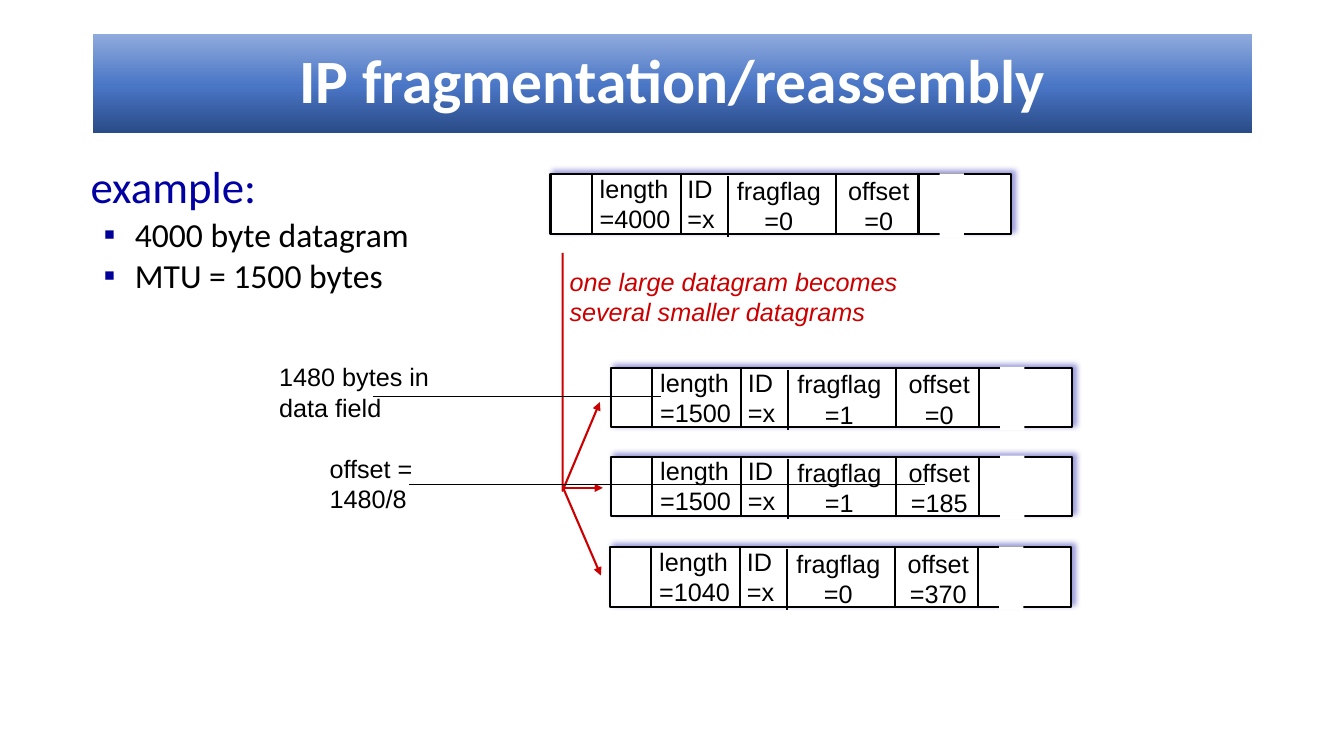
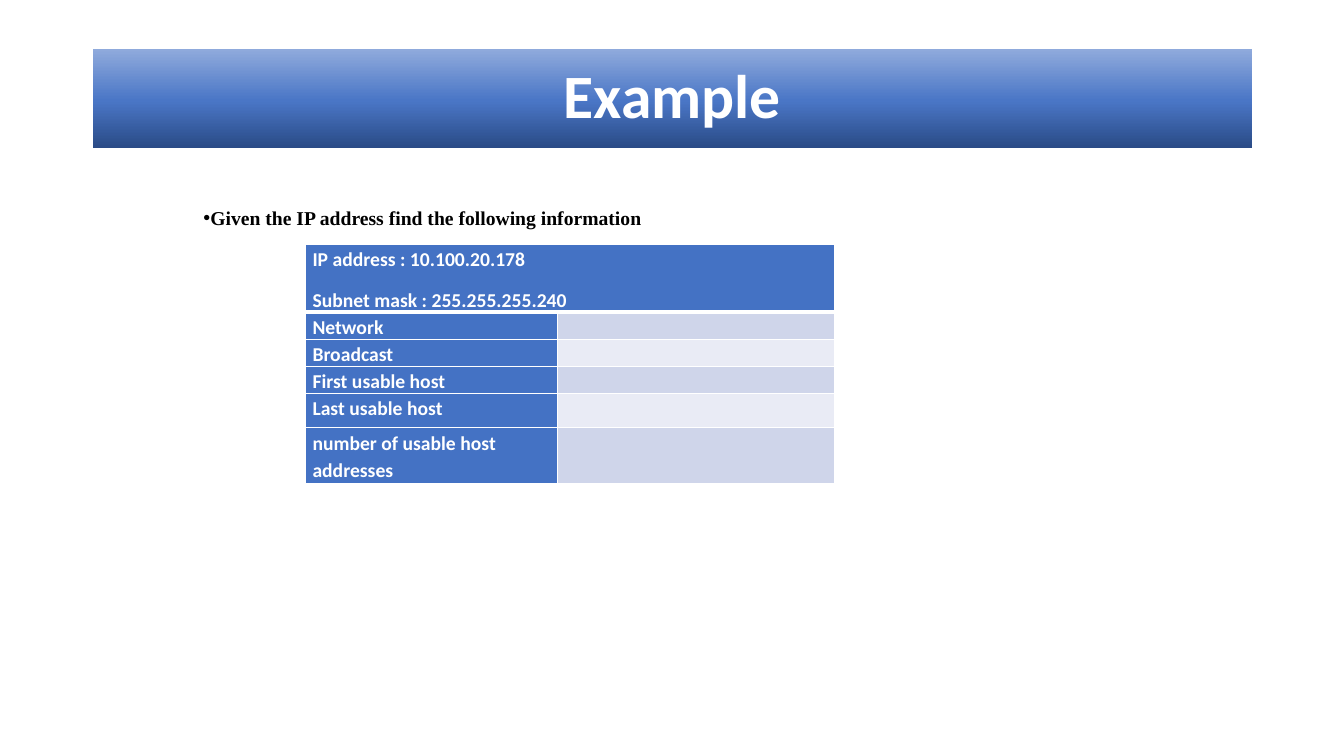
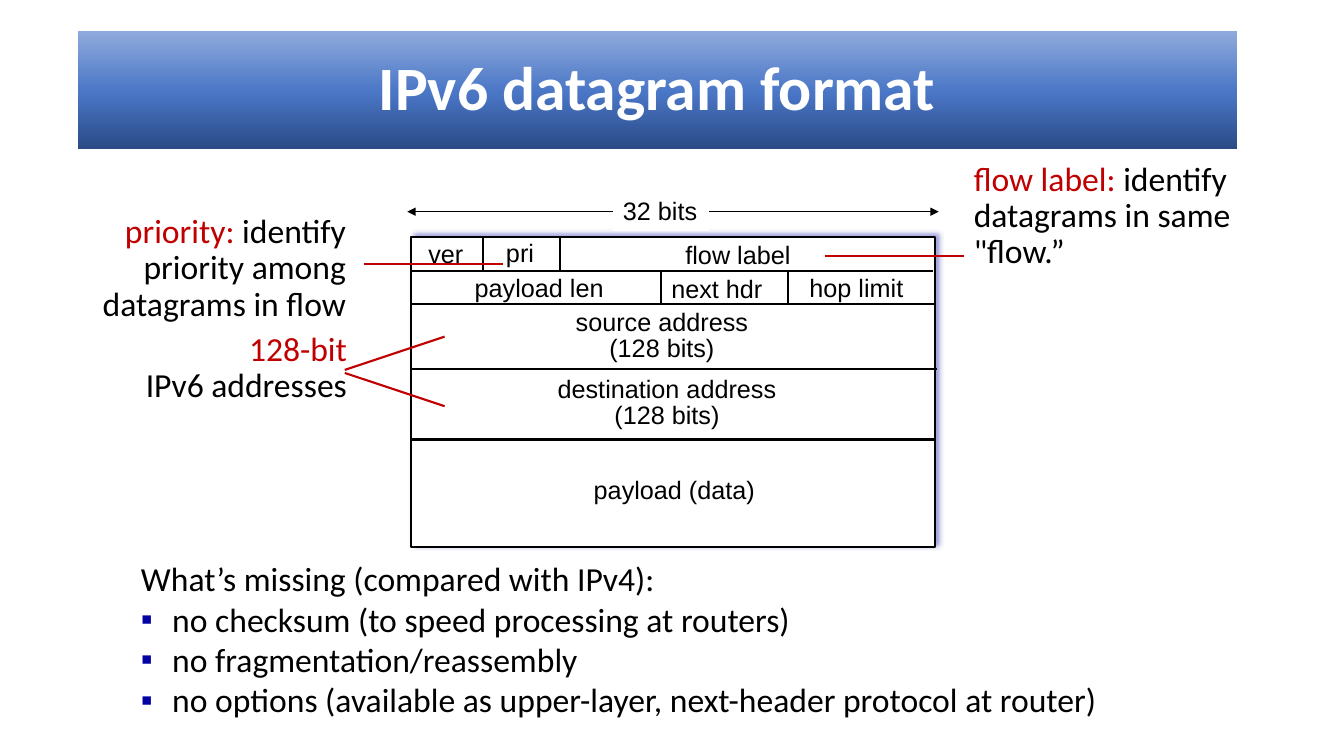
from copy import deepcopy
from dataclasses import dataclass, replace
from typing import Sequence

from lxml import etree
from pptx import Presentation
from pptx import util as u
from pptx.dml.color import RGBColor
from pptx.enum import shapes, text
from pptx.oxml.ns import qn

# One px is a hundredth of an inch
PX = 9144
SLIDE_WIDTH, SLIDE_HEIGHT = 1333, 750

WHITE = RGBColor(0xFF, 0xFF, 0xFF)
BLACK = RGBColor(0x00, 0x00, 0x00)
NAVY = RGBColor(0x00, 0x00, 0xA3)
BULLET_BLUE = RGBColor(0x00, 0x00, 0x99)
RED = RGBColor(0xCC, 0x00, 0x00)
DARK_RED = RGBColor(0xC0, 0x00, 0x00)
TABLE_BLUE = RGBColor(0x44, 0x72, 0xC4)
BAND_DARK = RGBColor(0xCF, 0xD5, 0xEA)
BAND_LIGHT = RGBColor(0xE9, 0xEB, 0xF5)
TITLE_STOPS = (
    (0, RGBColor(0x2A, 0x4B, 0x86)),
    (0.48, RGBColor(0x4A, 0x76, 0xC6)),
    (1, RGBColor(0x8F, 0xAA, 0xDC)),
)

LEFT, CENTER, RIGHT = text.PP_ALIGN.LEFT, text.PP_ALIGN.CENTER, text.PP_ALIGN.RIGHT


@dataclass(frozen=True)
class Style:
    size: int = 18
    font: str = "Arial"
    color: RGBColor = BLACK
    bold: bool = False
    italic: bool = False
    align: text.PP_ALIGN = LEFT
    spacing: float = 1.0
    before: int = 0
    after: int = 0
    bullet: str = ""
    bullet_color: RGBColor = BLACK
    margin: int = 0
    indent: int = 0


@dataclass(frozen=True)
class Box:
    left: int
    top: int
    width: int
    height: int

    def emu(self) -> list[int]:
        return [v * PX for v in (self.left, self.top, self.width, self.height)]


@dataclass(frozen=True)
class Line:
    """A paragraph; lead is an optional opening run in its own colour."""
    text: str
    style: Style
    lead: str = ""
    lead_color: RGBColor = DARK_RED


@dataclass(frozen=True)
class Stroke:
    x1: int
    y1: int
    x2: int
    y2: int
    color: RGBColor = BLACK
    width: float = 1.5
    head: bool = False
    tail: bool = False


@dataclass(frozen=True)
class Datagram:
    left: int
    top: int
    length: int
    fragflag: int
    offset: int


@dataclass(frozen=True)
class Label:
    box: Box
    text: str
    align: text.PP_ALIGN = LEFT
    spacing: float = 1.0


ARIAL = Style()
ARIAL_CENTER = Style(align=CENTER)
BODY = Style(24, "Calibri")
TITLE = Style(44, "Calibri", WHITE, bold=True, align=CENTER, spacing=0.9)
TABLE_TEXT = Style(14, "Calibri", WHITE, bold=True, spacing=1.15)


# Text
def add_bullet(paragraph, style: Style) -> None:
    properties = paragraph._p.get_or_add_pPr()
    properties.set("marL", str(style.margin * PX))
    properties.set("indent", str(style.indent * PX))
    color = etree.SubElement(properties, qn("a:buClr"))
    etree.SubElement(color, qn("a:srgbClr"), val=str(style.bullet_color))
    etree.SubElement(properties, qn("a:buFont"), typeface="Arial")
    etree.SubElement(properties, qn("a:buChar"), char=style.bullet)


def write(frame, lines: Sequence[Line]) -> None:
    for index, line in enumerate(lines):
        style = line.style
        paragraph = frame.paragraphs[0] if index == 0 else frame.add_paragraph()
        if style.bullet:
            add_bullet(paragraph, style)
        paragraph.alignment = style.align
        paragraph.line_spacing = style.spacing
        paragraph.space_before = u.Pt(style.before if index else 0)
        paragraph.space_after = u.Pt(style.after)
        paragraph.text = line.lead or line.text
        if line.lead:
            paragraph.add_run().text = line.text
        for run in paragraph.runs:
            run.font.size = u.Pt(style.size)
            run.font.name = style.font
            run.font.bold = style.bold
            run.font.italic = style.italic
            run.font.color.rgb = style.color
        if line.lead:
            paragraph.runs[0].font.color.rgb = line.lead_color


def rows(content: str, style: Style) -> list[Line]:
    return [Line(part, style) for part in content.split("\n")]


def add_text(slide, box: Box, lines: Sequence[Line], wrap: bool = False) -> None:
    frame = slide.shapes.add_textbox(*box.emu()).text_frame
    frame.word_wrap = wrap
    frame.auto_size = text.MSO_AUTO_SIZE.SHAPE_TO_FIT_TEXT
    write(frame, lines)


# Shapes and lines
def add_rectangle(slide, box: Box, outlined: bool = False):
    shape = slide.shapes.add_shape(shapes.MSO_SHAPE.RECTANGLE, *box.emu())
    shape.shadow.inherit = False
    shape.fill.solid()
    shape.fill.fore_color.rgb = WHITE
    if outlined:
        shape.line.color.rgb = BLACK
        shape.line.width = u.Pt(1.5)
        effects = shape._element.spPr.find(qn("a:effectLst"))
        shadow = etree.SubElement(effects, qn("a:outerShdw"), blurRad=str(u.Pt(4)),
                                  dist=str(u.Pt(3)), dir=str(315 * 60000), algn="bl",
                                  rotWithShape="0")
        color = etree.SubElement(shadow, qn("a:srgbClr"), val=str(NAVY))
        etree.SubElement(color, qn("a:alpha"), val="40000")
    else:
        shape.line.fill.background()
    return shape


def format_line(shape, color: RGBColor, width: float, head: bool, tail: bool) -> None:
    shape.line.color.rgb = color
    shape.line.width = u.Pt(width)
    outline = shape._element.spPr.find(qn("a:ln"))
    for name, shown in (("a:headEnd", head), ("a:tailEnd", tail)):
        if shown:
            etree.SubElement(outline, qn(name), type="triangle")


def add_stroke(slide, stroke: Stroke) -> None:
    connector = slide.shapes.add_connector(
        shapes.MSO_CONNECTOR.STRAIGHT,
        *(v * PX for v in (stroke.x1, stroke.y1, stroke.x2, stroke.y2)))
    format_line(connector, stroke.color, stroke.width, stroke.head, stroke.tail)
    etree.SubElement(connector._element.spPr, qn("a:effectLst"))


def add_title(slide, box: Box, title: str) -> None:
    shape = add_rectangle(slide, box)
    shape.fill.gradient()
    shape.fill.gradient_angle = 90
    stop_list = shape._element.spPr.find(".//" + qn("a:gsLst"))
    stop_list.append(deepcopy(stop_list[0]))
    for stop, (position, color) in zip(shape.fill.gradient_stops, TITLE_STOPS):
        stop.position = position
        stop.color.rgb = color
    frame = shape.text_frame
    frame.word_wrap = True
    frame.vertical_anchor = text.MSO_ANCHOR.MIDDLE
    write(frame, [Line(title, TITLE)])


# Slide 1: fragmentation
def add_datagram(slide, datagram: Datagram) -> None:
    left, top = datagram.left, datagram.top
    add_rectangle(slide, Box(left, top, 457, 59), outlined=True)
    fields = (
        (39, -6, 90, f"length\n={datagram.length}", ARIAL),
        (126, -6, 47, "ID\n=x", ARIAL),
        (165, -4, 123, f"fragflag\n={datagram.fragflag}", ARIAL_CENTER),
        (275, -4, 101, f"offset\n={datagram.offset}", ARIAL_CENTER),
    )
    for x, y, width, content, style in fields:
        add_text(slide, Box(left + x, top + y, width, 70), rows(content, style))
    for x, drop in ((41, 0), (129, 0), (176, 2), (283, 0), (365, 0)):
        add_stroke(slide, Stroke(left + x, top + drop, left + x, top + drop + 60))
    # Break in the data field
    add_rectangle(slide, Box(left + 386, top - 1, 24, 63))


def build_fragmentation(slide) -> None:
    add_title(slide, Box(92, 34, 1150, 98), "IP fragmentation/reassembly")
    for datagram in (
        Datagram(546, 173, 4000, 0, 0),
        Datagram(606, 365, 1500, 1, 0),
        Datagram(606, 453, 1500, 1, 185),
        Datagram(605, 543, 1040, 0, 370),
    ):
        add_datagram(slide, datagram)

    # Split into three arrows
    builder = slide.shapes.build_freeform(558, 251, scale=PX)
    builder.add_line_segments([(558, 487), (595, 399)], close=False)
    split = builder.convert_to_shape()
    split.shadow.inherit = False
    split.fill.background()
    format_line(split, RED, 1.5, head=False, tail=True)
    add_stroke(slide, Stroke(558, 484, 598, 484, RED, tail=True))
    add_stroke(slide, Stroke(559, 485, 596, 571, RED, tail=True))
    add_text(slide, Box(555, 259, 345, 70),
             rows("one large datagram becomes\nseveral smaller datagrams",
                  replace(ARIAL, color=RED, italic=True)))

    # Example and notes
    heading = replace(BODY, size=32, color=NAVY, spacing=0.85)
    item = replace(BODY, spacing=0.85, before=5, bullet="▪", bullet_color=BULLET_BLUE,
                   margin=44, indent=-31)
    add_text(slide, Box(80, 161, 416, 184),
             [Line("example:", heading), *rows("4000 byte datagram\nMTU = 1500 bytes", item)],
             wrap=True)
    add_text(slide, Box(267, 354, 176, 70), rows("1480 bytes in\ndata field", ARIAL))
    add_text(slide, Box(317, 445, 103, 70), rows("offset =\n1480/8", ARIAL))
    add_stroke(slide, Stroke(370, 393, 656, 393, width=0.75))
    add_stroke(slide, Stroke(917, 481, 406, 481, width=0.75))


# Slide 2: subnet exercise
def add_borders(cell, top: int = 1, bottom: int = 1) -> None:
    properties = cell._tc.get_or_add_tcPr()
    for side, width in (("L", 1), ("R", 1), ("T", top), ("B", bottom)):
        border = etree.SubElement(properties, qn(f"a:ln{side}"), w=str(u.Pt(width)))
        fill = etree.SubElement(border, qn("a:solidFill"))
        etree.SubElement(fill, qn("a:srgbClr"), val=str(WHITE))


def fill_cell(cell, color: RGBColor, lines: Sequence[Line]) -> None:
    cell.margin_left = cell.margin_right = 7 * PX
    cell.margin_top = cell.margin_bottom = 0
    cell.fill.solid()
    cell.fill.fore_color.rgb = color
    if lines:
        write(cell.text_frame, lines)
    else:
        paragraph = cell.text_frame.paragraphs[0]
        etree.SubElement(paragraph._p, qn("a:endParaRPr"), sz="1200")


def build_exercise(slide) -> None:
    add_title(slide, Box(92, 49, 1150, 98), "Example")
    question = Style(14, "Times New Roman", bold=True, bullet="•")
    add_text(slide, Box(192, 199, 470, 32),
             [Line("Given the IP address find the following information", question)], wrap=True)

    names = ("Network", "Broadcast", "First usable host", "Last usable host",
             "number of usable host addresses")
    heights = (67, 27, 27, 27, 34, 55)
    widths = (250, 275)
    frame = slide.shapes.add_table(len(heights), len(widths),
                                   *Box(303, 242, sum(widths), sum(heights)).emu())
    table = frame.table
    for column, width in zip(table.columns, widths):
        column.width = width * PX
    for index, (row, height) in enumerate(zip(table.rows, heights)):
        row.height = height * PX
        for cell in row.cells:
            add_borders(cell, top=3 if index == 1 else 1, bottom=3 if index == 0 else 1)

    table.cell(0, 0).merge(table.cell(0, 1))
    fill_cell(table.cell(0, 0), TABLE_BLUE, [
        Line("IP address : 10.100.20.178", replace(TABLE_TEXT, after=10)),
        Line("Subnet mask : 255.255.255.240", TABLE_TEXT),
    ])
    for index, name in enumerate(names, start=1):
        fill_cell(table.cell(index, 0), TABLE_BLUE, [Line(name, TABLE_TEXT)])
        fill_cell(table.cell(index, 1), BAND_DARK if index % 2 else BAND_LIGHT, [])


# Slide 3: IPv6 header
HEADER_LINES = (
    Stroke(408, 269, 925, 269), Stroke(407, 302, 928, 302),
    Stroke(409, 366, 929, 366), Stroke(407, 436, 928, 436),
    Stroke(479, 236, 479, 269), Stroke(555, 236, 555, 268),
    Stroke(656, 269, 656, 301), Stroke(782, 269, 782, 301),
)
HEADER_LABELS = (
    Label(Box(579, 466, 181, 40), "payload (data)"),
    Label(Box(543, 370, 237, 61), "destination address\n(128 bits)", CENTER, 0.85),
    Label(Box(561, 304, 191, 61), "source address\n(128 bits)", CENTER, 0.85),
    Label(Box(461, 265, 148, 40), "payload len"),
    Label(Box(656, 266, 110, 40), "next hdr"),
    Label(Box(793, 265, 113, 40), "hop limit"),
    Label(Box(670, 233, 124, 40), "flow label"),
    Label(Box(492, 231, 48, 40), "pri"),
    Label(Box(415, 232, 55, 40), "ver"),
)


def build_header_format(slide) -> None:
    add_title(slide, Box(77, 31, 1150, 117), "IPv6 datagram format")
    add_rectangle(slide, Box(408, 235, 519, 308), outlined=True)
    for stroke in HEADER_LINES:
        add_stroke(slide, stroke)
    for label in HEADER_LABELS:
        style = replace(ARIAL, align=label.align, spacing=label.spacing)
        add_text(slide, label.box, rows(label.text, style))

    # Width of the header
    add_stroke(slide, Stroke(404, 210, 931, 210, width=0.75, head=True, tail=True))
    width_label = add_rectangle(slide, Box(608, 189, 95, 40))
    width_label.text_frame.word_wrap = False
    width_label.text_frame.vertical_anchor = text.MSO_ANCHOR.TOP
    write(width_label.text_frame, [Line("32 bits", ARIAL)])

    # Callouts
    note = replace(BODY, spacing=0.9)
    right_note = replace(note, align=RIGHT)
    callouts = (
        (Box(40, 208, 313, 119),
         [Line("identify priority among datagrams in flow", right_note, "priority: ")]),
        (Box(956, 156, 354, 119),
         [Line("identify datagrams in same \"flow.”", note, "flow label: ")]),
        (Box(0, 325, 354, 83),
         [Line("128-bit", replace(right_note, color=DARK_RED)),
          Line("IPv6 addresses", right_note)]),
    )
    for box, lines in callouts:
        add_text(slide, box, lines, wrap=True)
    for ends in ((361, 262, 499, 262), (818, 254, 956, 254),
                 (342, 370, 441, 403), (342, 367, 441, 334)):
        add_stroke(slide, Stroke(*ends, color=DARK_RED))

    # Differences from IPv4
    item = replace(BODY, bullet="▪", bullet_color=NAVY, margin=31, indent=-31)
    add_text(slide, Box(130, 549, 981, 172), [
        Line("What’s missing (compared with IPv4):", BODY),
        Line("no checksum (to speed processing at routers)", item),
        Line("no fragmentation/reassembly", item),
        Line("no options (available as upper-layer, next-header protocol at router)", item),
    ], wrap=True)


def main() -> None:
    presentation = Presentation()
    presentation.slide_width = SLIDE_WIDTH * PX
    presentation.slide_height = SLIDE_HEIGHT * PX
    blank = presentation.slide_layouts[6]
    for build in (build_fragmentation, build_exercise, build_header_format):
        build(presentation.slides.add_slide(blank))
    presentation.save("out.pptx")


if __name__ == "__main__":
    main()
